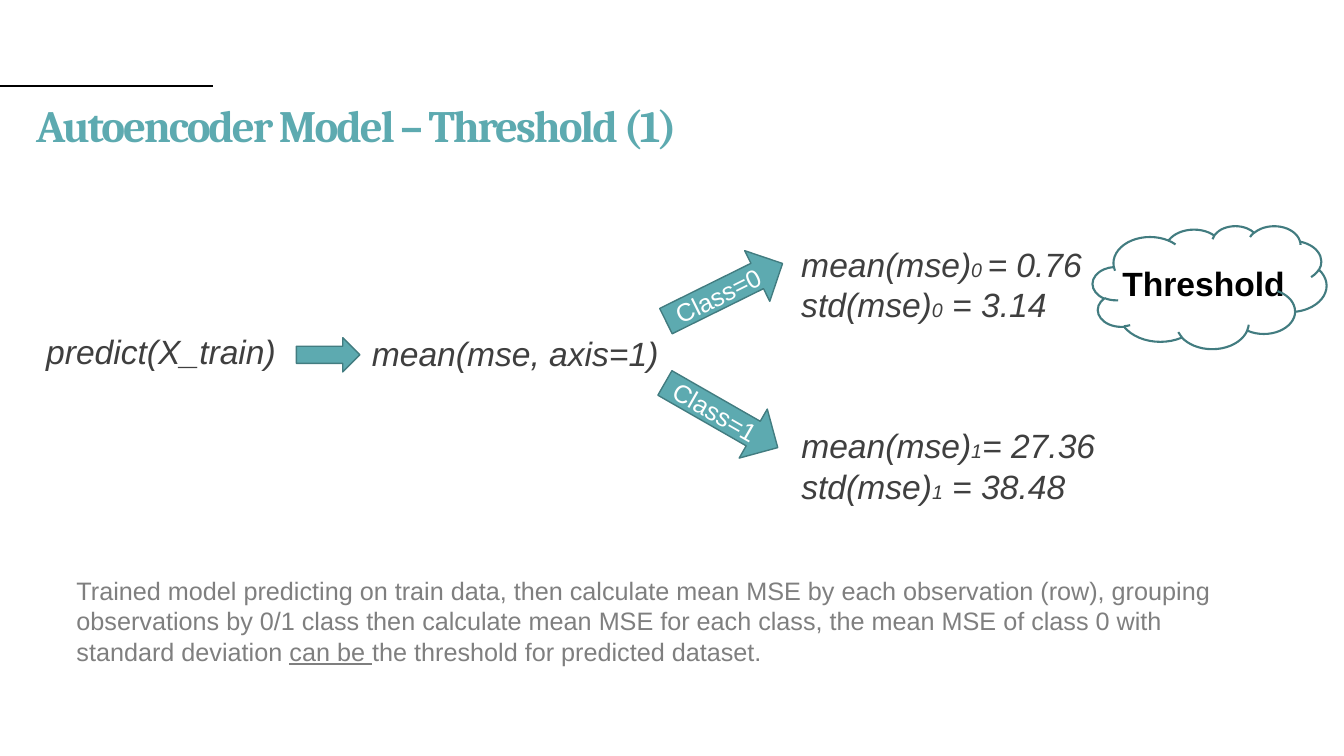
from dataclasses import dataclass

from lxml import etree
from pptx import Presentation
from pptx.dml.color import RGBColor
from pptx.enum.shapes import MSO_CONNECTOR, MSO_SHAPE
from pptx.enum.text import MSO_ANCHOR, PP_ALIGN
from pptx.oxml.ns import qn
from pptx.util import Inches, Pt

STRAIGHT = MSO_CONNECTOR.STRAIGHT
ARROW, CLOUD = MSO_SHAPE.RIGHT_ARROW, MSO_SHAPE.CLOUD
MIDDLE, TOP = MSO_ANCHOR.MIDDLE, MSO_ANCHOR.TOP
CENTER, LEFT = PP_ALIGN.CENTER, PP_ALIGN.LEFT

COLORS = {
    "teal": "5DAAB0",
    "dark_teal": "427C80",
    "formula": "3F3F3F",
    "note": "7F7F7F",
    "black": "000000",
    "white": "FFFFFF",
}


@dataclass
class Box:
    left: int
    top: int
    width: int
    height: int

    def area(self, left, top, width, height):
        return Box(
            int(self.left + self.width * left / 100),
            int(self.top + self.height * top / 100),
            int(self.width * width / 100),
            int(self.height * height / 100),
        )

    def bounds(self):
        return self.left, self.top, self.width, self.height


def color(name):
    return RGBColor.from_string(COLORS[name])


def write(shape, paragraphs, size=24, ink="formula", font="Arial", bold=False,
          italic=False, align=LEFT, anchor=TOP, wrap=True, line_spacing=None,
          tracking=None):
    frame = shape.text_frame
    frame.word_wrap = wrap
    frame.vertical_anchor = anchor
    for index, spans in enumerate(paragraphs):
        para = frame.add_paragraph() if index else frame.paragraphs[0]
        para.alignment = align
        if line_spacing:
            para.line_spacing = line_spacing
        for text, changes in spans:
            span = para.add_run()
            span.text = text
            span.font.name = font
            span.font.size = Pt(changes.get("size", size))
            span.font.bold = bold
            span.font.italic = italic
            span.font.underline = changes.get("underline", False)
            span.font.color.rgb = color(ink)
            if tracking:
                span._r.get_or_add_rPr().set("spc", str(tracking))


def add_text(page, box, paragraphs, **style):
    shape = page.shapes.add_textbox(*box.bounds())
    write(shape, paragraphs, **style)
    return shape


def add_outline(page, kind, box, fill=None, weight=1, rotation=0):
    shape = page.shapes.add_shape(kind, *box.bounds())
    shape.shadow.inherit = False
    shape.rotation = rotation
    if fill:
        shape.fill.solid()
        shape.fill.fore_color.rgb = color(fill)
    else:
        shape.fill.background()
    shape.line.color.rgb = color("dark_teal")
    shape.line.width = Pt(weight)
    return shape


def add_header(page, box, title):
    rule = box.area(0, 8.89, 15.83, 0)
    line = page.shapes.add_connector(
        STRAIGHT, rule.left, rule.top, rule.left + rule.width, rule.top)
    line.line.color.rgb = color("black")
    line.line.width = Pt(1.5)
    etree.SubElement(line._element.spPr, qn("a:effectLst"))
    heading = add_text(
        page, box.area(2.7, 0.89, 56.4, 91.56), [[(title, {})]], size=32,
        ink="teal", font="Cambria", bold=True, anchor=MIDDLE,
        line_spacing=0.9, tracking=-150)
    heading.text_frame.margin_left = 0


def add_steps(page, box):
    for text, place in (
        ("predict(X_train)", (2.7, 32.67, 19.5, 16.67)),
        ("mean(mse, axis=1)", (26.93, 33.33, 26.25, 16.67)),
    ):
        add_text(page, box.area(*place), [[(text, {})]], italic=True)
    add_outline(page, ARROW, box.area(22.05, 36.67, 4.73, 11.33), fill="teal")


def add_branch(page, box, label, arrow_place, rotation, result_place, results):
    arrow = add_outline(page, ARROW, box.area(*arrow_place), fill="teal",
                        rotation=rotation)
    write(arrow, [[(label, {})]], size=18, ink="white", align=CENTER,
          anchor=MIDDLE, wrap=False)
    paragraphs = [
        [(name, {}), (subscript, {"size": 14}), (value, {})]
        for name, subscript, value in results
    ]
    add_text(page, box.area(*result_place), paragraphs, italic=True)


def add_threshold(page, box):
    add_text(page, box.area(82.13, 10.33, 14.85, 16.67),
             [[("Threshold", {})]], ink="black", bold=True, align=CENTER)
    add_outline(page, CLOUD, box.area(81.3, -0.33, 17.4, 40.67), weight=1.5)


def add_flow(page, box):
    add_steps(page, box)
    add_branch(page, box, "Class=0", (49.05, 12.33, 9.68, 18.67), 333.7,
               (58.88, 4, 26.25, 30.33),
               [("mean(mse)", "0 ", "= 0.76"), ("std(mse)", "0", " = 3.14")])
    add_branch(page, box, "Class=1", (48.83, 53, 9.68, 18.67), 29.8,
               (58.88, 64, 24.08, 30.33),
               [("mean(mse)", "1", "= 27.36"), ("std(mse)", "1", " = 38.48")])
    add_threshold(page, box)


def add_note(page, box):
    add_text(page, box, [[
        ("Trained model predicting on train data, then calculate mean MSE by "
         "each observation (row), grouping observations by 0/1 class then "
         "calculate mean MSE for each class, the mean MSE of class 0 with "
         "standard deviation ", {}),
        ("can be ", {"underline": True}),
        ("the threshold for predicted dataset.", {}),
    ]], size=18, ink="note")


def main():
    deck = Presentation()
    deck.slide_width, deck.slide_height = Inches(13.33), Inches(7.5)
    page = deck.slides.add_slide(deck.slide_layouts[6])
    canvas = Box(0, 0, deck.slide_width, deck.slide_height)
    add_header(page, canvas.area(0, 10, 100, 15),
               "Autoencoder Model – Threshold (1)")
    add_flow(page, canvas.area(0, 30, 100, 40))
    add_note(page, canvas.area(4.95, 75.47, 89.4, 13.47))
    deck.save("out.pptx")


if __name__ == "__main__":
    main()
